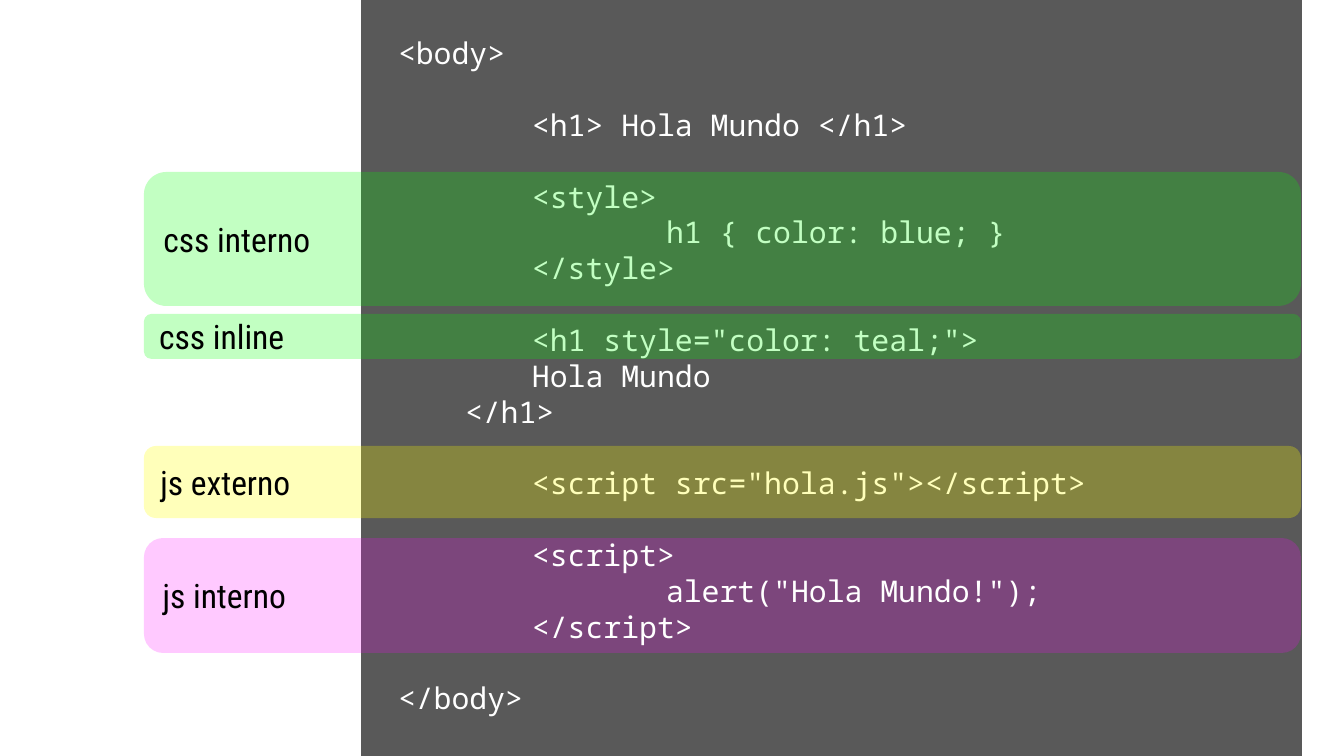
"""Build a slide that marks the CSS and JS parts of an HTML body."""
from lxml import etree
from pptx import Presentation
from pptx import util as u
from pptx.dml.color import RGBColor
from pptx.enum import shapes, text
from pptx.oxml.ns import qn

SIZE = 16
MONO, SANS = "Noto Sans Mono", "Roboto Condensed"
WHITE, BLACK, GRAY = "FFFFFF", "000000", "595959"

# Each group is set apart by one line; each line is (half-inch indents, words).
CODE = [
    [(0, "<body>")],
    [(2, "<h1> Hola Mundo </h1>")],
    [(2, "<style>"), (4, "h1 { color: blue; }"), (2, "</style>")],
    [(2, '<h1 style="color: teal;">'), (2, "Hola Mundo"), (1, "</h1>")],
    [(2, '<script src="hola.js"></script>')],
    [(2, "<script>"), (4, 'alert("Hola Mundo!");'), (2, "</script>")],
    [(0, "</body>")],
]
# Words, top, height, colour, opacity in percent
UNDER = [("js interno", 538, 115, "FF00FF", 21)]
OVER = [
    ("css interno", 172, 134, "00FF00", 24),
    ("js externo", 446, 72, "FFFF00", 27),
    ("css inline", 314, 45, "00FF00", 24),
]


def px(n):
    return u.Emu(round(n * 914400 / 134.4))


def rgb(code):
    return RGBColor.from_string(code)


def write(para, words, size=SIZE, font=MONO, color=WHITE, indent=0, gap=0):
    para.alignment = text.PP_ALIGN.LEFT
    para.space_before = u.Pt(gap)
    props = para._p.get_or_add_pPr()
    props.set("marL", str(px(indent)))
    props.set("indent", "0")
    run = para.add_run()
    run.text = words
    run.font.size, run.font.name = u.Pt(size), font
    run.font.color.rgb = rgb(color)


def inset(frame):
    frame.word_wrap = True
    frame.margin_left = frame.margin_right = px(13)
    frame.margin_top = frame.margin_bottom = px(13)


def block(slide, kind, box, color):
    item = slide.shapes.add_shape(kind, *map(px, box))
    item.shadow.inherit = False
    item.fill.solid()
    item.fill.fore_color.rgb = rgb(color)
    return item


def band(slide, words, top, high, color, alpha):
    kind = shapes.MSO_SHAPE.ROUNDED_RECTANGLE
    item = block(slide, kind, (144, top, 1157, high), color)
    item.line.fill.background()
    tint = item._element.spPr.find(qn("a:solidFill"))[0]
    etree.SubElement(tint, qn("a:alpha")).set("val", str(alpha * 1000))
    frame = item.text_frame
    inset(frame)
    frame.vertical_anchor = text.MSO_ANCHOR.MIDDLE
    write(frame.paragraphs[0], words, size=18, font=SANS, color=BLACK)


def listing(slide):
    frame = slide.shapes.add_textbox(*map(px, (385, 22, 845, 824))).text_frame
    inset(frame)
    frame.auto_size = text.MSO_AUTO_SIZE.SHAPE_TO_FIT_TEXT
    para = frame.paragraphs[0]
    for g, group in enumerate(CODE):
        for n, (steps, words) in enumerate(group):
            if g or n:
                para = frame.add_paragraph()
            gap = SIZE * 1.2 if g and not n else 0
            write(para, words, indent=steps * 67, gap=gap)


def main():
    deck = Presentation()
    deck.slide_width, deck.slide_height = px(1344), px(756)
    slide = deck.slides.add_slide(deck.slide_layouts[6])
    panel = block(slide, shapes.MSO_SHAPE.RECTANGLE, (362, 0, 939, 756), GRAY)
    panel.line.color.rgb = rgb(GRAY)
    panel.line.width = u.Pt(0.75)
    for row in UNDER:
        band(slide, *row)
    listing(slide)
    for row in OVER:
        band(slide, *row)
    deck.save("out.pptx")


if __name__ == "__main__":
    main()
